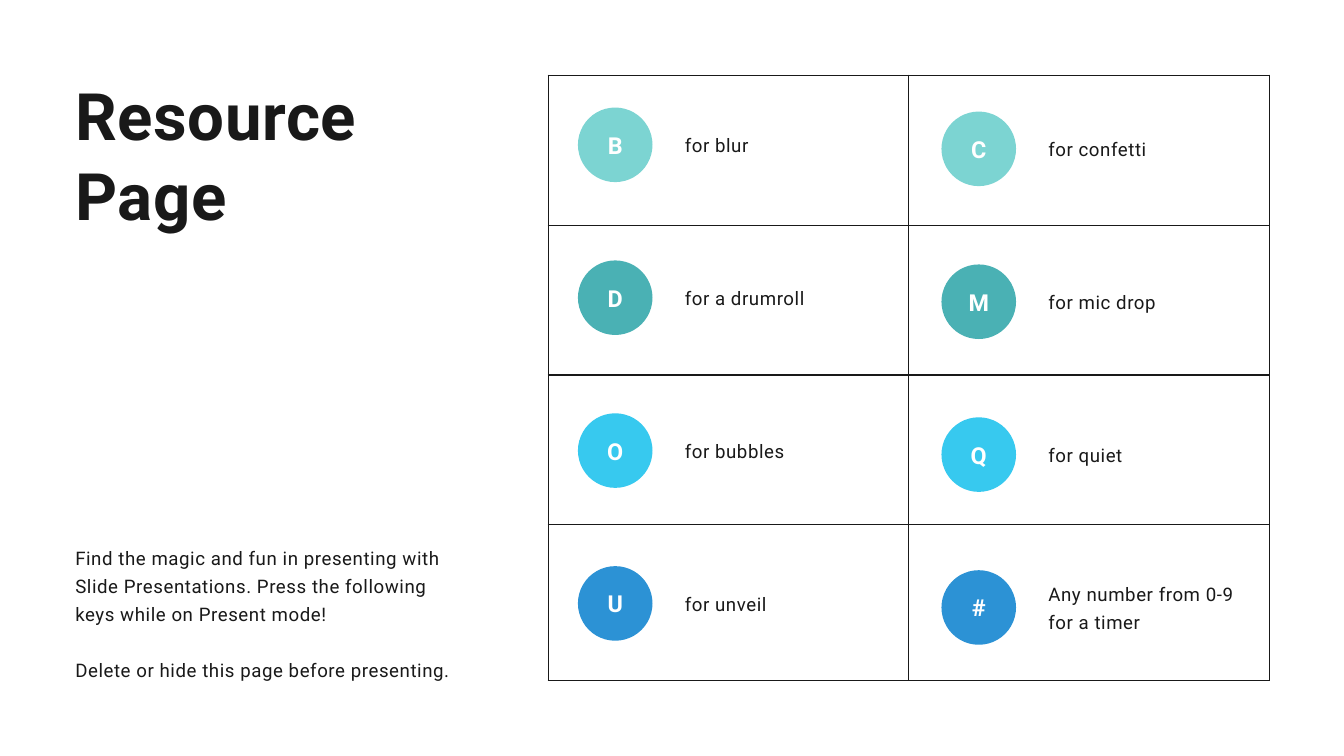
from pptx import Presentation
from pptx.dml.color import RGBColor
from pptx.enum.shapes import MSO_SHAPE as Shape
from pptx.enum.text import MSO_ANCHOR as Anchor, MSO_AUTO_SIZE as Fit, PP_ALIGN as Align
from pptx.oxml.ns import qn
from pptx.util import Inches, Pt
from lxml.etree import SubElement as Sub

INK = RGBColor(0x19, 0x19, 0x19)
WHITE = RGBColor(0xFF, 0xFF, 0xFF)
MINT = RGBColor(0x7C, 0xD4, 0xD2)
TEAL = RGBColor(0x4A, 0xB1, 0xB4)
SKY = RGBColor(0x37, 0xC9, 0xEF)
BLUE = RGBColor(0x2C, 0x92, 0xD5)
FONT = "Roboto"

INTRO = [
    "Find the magic and fun in presenting with Slide Presentations. "
    "Press the following keys while on Present mode!",
    "Delete or hide this page before presenting.",
]
KEYS = [
    (MINT, [("B", ["for blur"]), ("C", ["for confetti"])]),
    (TEAL, [("D", ["for a drumroll"]), ("M", ["for mic drop"])]),
    (SKY, [("O", ["for bubbles"]), ("Q", ["for quiet"])]),
    (BLUE, [("U", ["for unveil"]), ("#", ["Any number from 0-9", "for a timer"])]),
]


def place(shape, left, top, width, height):
    shape.left, shape.top = Inches(left), Inches(top)
    shape.width, shape.height = Inches(width), Inches(height)


def write(shape, lines, size, lead, color=INK, bold=False, track=60,
          align=Align.LEFT, anchor=Anchor.TOP, gap=0):
    frame = shape.text_frame
    frame.word_wrap = True
    frame.auto_size = Fit.NONE
    frame.vertical_anchor = anchor
    frame.margin_left = frame.margin_right = 0
    frame.margin_top = frame.margin_bottom = 0
    for i, line in enumerate(lines):
        para = frame.add_paragraph() if i else frame.paragraphs[0]
        para.alignment = align
        para.line_spacing = Pt(lead)
        para.space_before = Pt(gap if i else 0)
        run = para.add_run()
        run.text = line
        font = run.font
        font.name, font.size, font.bold = FONT, Pt(size), bold
        font.color.rgb = color
        font._element.set("spc", str(track))


def add_intro(slide, left, top, width, height):
    title, body = slide.shapes.title, slide.placeholders[1]
    place(title, left, top, width, 2.38)
    write(title, ["Resource Page"], 70, 86.1, bold=True, track=70)
    place(body, left, top + height - 2.07, width, 2.07)
    write(body, INTRO, 20, 30, gap=30)
    for para in body.text_frame.paragraphs:
        props = para._p.get_or_add_pPr()
        props.set("marL", "0")
        props.set("indent", "0")
        Sub(props, qn("a:buNone"))


def edge_cell(cell):
    cell.fill.background()
    props = cell._tc.get_or_add_tcPr()
    for i, side in enumerate(("lnL", "lnR", "lnT", "lnB")):
        line = props.makeelement(qn("a:" + side), {"w": str(Pt(1.5))})
        fill = Sub(line, qn("a:solidFill"))
        Sub(fill, qn("a:srgbClr"), val=str(INK))
        props.insert(i, line)


def add_grid(slide, left, top, width, height):
    frame = slide.shapes.add_table(len(KEYS), 2, Inches(left), Inches(top),
                                   Inches(width), Inches(height))
    table = frame.table
    table.first_row = table.horz_banding = False
    for row in table.rows:
        row.height = Inches(2.23)
    table.rows[len(KEYS) - 1].height = Inches(height - 2.23 * (len(KEYS) - 1))
    for cell in table.iter_cells():
        edge_cell(cell)


def add_key(slide, left, top, color, key, lines):
    disc = slide.shapes.add_shape(Shape.OVAL, Inches(left), Inches(top),
                                  Inches(1.11), Inches(1.11))
    disc.shadow.inherit = False
    disc.fill.solid()
    disc.fill.fore_color.rgb = color
    disc.line.fill.background()
    write(disc, [key], 25, 37.5, WHITE, True, 70, Align.CENTER, Anchor.MIDDLE)
    disc.text_frame.margin_bottom = Inches(0.1)

    tall = 0.41 * len(lines)
    label = slide.shapes.add_textbox(Inches(left + 1.59), Inches(top + 0.52 - tall / 2),
                                     Inches(2.91), Inches(tall))
    write(label, lines, 20, 30)


def add_keys(slide, left, top, width, height):
    add_grid(slide, left, top, width, height)
    for row, (color, pair) in enumerate(KEYS):
        for col, (key, lines) in enumerate(pair):
            add_key(slide, left + 0.44 + 5.41 * col, top + 0.48 + 2.275 * row + 0.06 * col,
                    color, key, lines)


def main():
    deck = Presentation()
    deck.slide_width, deck.slide_height = Inches(20), Inches(11.25)
    slide = deck.slides.add_slide(deck.slide_layouts[1])
    add_intro(slide, 1.12, 1.09, 5.73, 9.03)
    add_keys(slide, 8.16, 1.12, 10.73, 9.01)
    deck.save("out.pptx")


if __name__ == "__main__":
    main()
